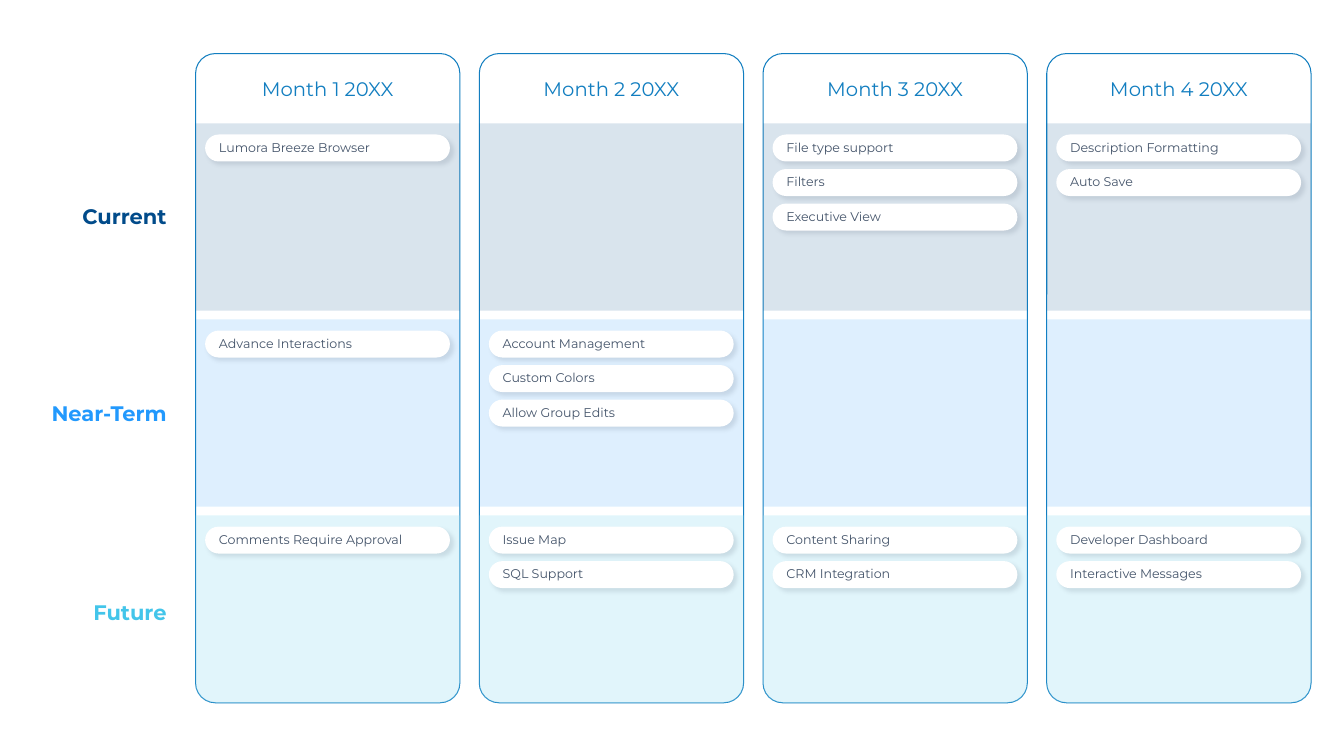
"""Build a four-month product roadmap slide with three planning horizons."""
from dataclasses import dataclass
from typing import Any

from lxml import etree
from pptx import Presentation
from pptx import util as u
from pptx.dml.color import RGBColor
from pptx.enum import shapes, text
from pptx.oxml import ns

NAVY = RGBColor(0x01, 0x4B, 0x8A)
BLUE = RGBColor(0x22, 0x99, 0xFD)
SKY = RGBColor(0x43, 0xC5, 0xEA)
PALE = RGBColor(0x9D, 0xE1, 0xF4)
OUTLINE = RGBColor(0x12, 0x7E, 0xC0)
SLATE = RGBColor(0x44, 0x54, 0x6A)
WHITE = RGBColor(0xFF, 0xFF, 0xFF)

FONT = "Montserrat"
LEFT, TOP, COLUMN_WIDTH, COLUMN_HEIGHT, COLUMN_STEP = 4.93, 1.35, 6.66, 16.36, 7.15
BAND_TOP, BAND_HEIGHT, BAND_STEP = 3.11, 4.72, 4.94
CARD_INDENT, CARD_DROP, CARD_WIDTH, CARD_HEIGHT, CARD_STEP = 0.24, 0.28, 6.17, 0.68, 0.87
HEADER_TOP, HEADER_HEIGHT = 1.81, 0.86
LABEL_RIGHT, LABEL_HEIGHT = 4.45, 0.89


@dataclass(frozen=True)
class Frame:
    """Place and size in centimetres."""
    left: float
    top: float
    width: float
    height: float

    def lengths(self) -> list[u.Length]:
        """Return the four values as slide lengths."""
        return [u.Cm(value) for value in (self.left, self.top, self.width, self.height)]


@dataclass(frozen=True)
class Horizon:
    """A row of the roadmap."""
    name: str
    label_top: float
    label_width: float
    label_color: RGBColor
    fill: RGBColor
    alpha: int
    shape: shapes.MSO_SHAPE
    corners: tuple[float, ...] = ()


@dataclass(frozen=True)
class Month:
    """A column of the roadmap, with the cards of each horizon."""
    name: str
    header_width: float
    cards: tuple[tuple[str, ...], ...]


HORIZONS = (
    Horizon("Current", 5.0, 2.77, NAVY, NAVY, 15, shapes.MSO_SHAPE.RECTANGLE),
    Horizon("Near-Term", 9.96, 3.63, BLUE, BLUE, 15, shapes.MSO_SHAPE.RECTANGLE),
    Horizon("Future", 14.99, 2.46, SKY, PALE, 30,
            shapes.MSO_SHAPE.ROUND_2_SAME_RECTANGLE, (0, 0.1)),
)
MONTHS = (
    Month("Month 1 20XX", 3.89, (
        ("Lumora Breeze Browser",),
        ("Advance Interactions",),
        ("Comments Require Approval",))),
    Month("Month 2 20XX", 3.99, (
        (),
        ("Account Management", "Custom Colors", "Allow Group Edits"),
        ("Issue Map", "SQL Support"))),
    Month("Month 3 20XX", 3.99, (
        ("File type support", "Filters", "Executive View"),
        (),
        ("Content Sharing", "CRM Integration"))),
    Month("Month 4 20XX", 4.04, (
        ("Description Formatting", "Auto Save"),
        (),
        ("Developer Dashboard", "Interactive Messages"))),
)


def apply(target: Any, formats: dict[str, Any]) -> None:
    """Set each named format value on the target."""
    for name, value in formats.items():
        setattr(target, name, value)


def write(box: Any, words: str, size: float, color: RGBColor, align: text.PP_ALIGN,
          frame_formats: dict[str, Any], bold: bool = False) -> None:
    """Put one formatted paragraph in a box."""
    apply(box.text_frame, frame_formats)
    para = box.text_frame.paragraphs[0]
    para.alignment = align
    span = para.add_run()
    span.text = words
    apply(span.font, {"name": FONT, "size": u.Pt(size), "bold": bold})
    span.font.color.rgb = color


def add_text(page: Any, frame: Frame, *content: Any, bold: bool = False,
             anchor: text.MSO_ANCHOR = text.MSO_ANCHOR.TOP) -> None:
    """Add an unwrapped text box that grows with its words."""
    box = page.shapes.add_textbox(*frame.lengths())
    formats = {"word_wrap": False, "vertical_anchor": anchor,
               "auto_size": text.MSO_AUTO_SIZE.SHAPE_TO_FIT_TEXT}
    write(box, *content, formats, bold)


def add_box(page: Any, kind: shapes.MSO_SHAPE, frame: Frame, corners: tuple[float, ...] = (),
            fill: RGBColor | None = None, line: RGBColor | None = None) -> Any:
    """Add a flat preset shape with optional fill and outline."""
    box = page.shapes.add_shape(kind, *frame.lengths())
    box.shadow.inherit = False
    for index, corner in enumerate(corners):
        box.adjustments[index] = corner
    if fill is None:
        box.fill.background()
    else:
        box.fill.solid()
        box.fill.fore_color.rgb = fill
    if line is None:
        box.line.fill.background()
    else:
        box.line.color.rgb = line
        box.line.width = u.Pt(0.75)
    return box


def add_alpha(color: Any, percent: int) -> None:
    """Give a colour element an opacity."""
    etree.SubElement(color, ns.qn("a:alpha"), val=str(percent * 1000))


def add_card(page: Any, frame: Frame, words: str) -> None:
    """Add a white pill with a soft shadow."""
    card = add_box(page, shapes.MSO_SHAPE.ROUNDED_RECTANGLE, frame, (0.5,), WHITE)
    effects = card.element.spPr.find(ns.qn("a:effectLst"))
    shadow = etree.SubElement(effects, ns.qn("a:outerShdw"), blurRad=str(u.Pt(3)),
                              dist=str(u.Pt(3)), dir=str(45 * 60000),
                              algn="tl", rotWithShape="0")
    add_alpha(etree.SubElement(shadow, ns.qn("a:srgbClr"), val=str(SLATE)), 15)
    formats = {"word_wrap": True, "vertical_anchor": text.MSO_ANCHOR.MIDDLE,
               "margin_left": u.Cm(0.25), "margin_right": u.Cm(0.25),
               "margin_top": 0, "margin_bottom": u.Cm(0.05)}
    write(card, words, 9, SLATE, text.PP_ALIGN.LEFT, formats)


def add_month(page: Any, month: Month, left: float) -> None:
    """Draw one column with its header, bands and cards."""
    add_box(page, shapes.MSO_SHAPE.ROUNDED_RECTANGLE,
            Frame(left, TOP, COLUMN_WIDTH, COLUMN_HEIGHT), (0.075,), line=OUTLINE)
    header_left = left + (COLUMN_WIDTH - month.header_width) / 2
    add_text(page, Frame(header_left, HEADER_TOP, month.header_width, HEADER_HEIGHT),
             month.name, 14, OUTLINE, text.PP_ALIGN.CENTER, anchor=text.MSO_ANCHOR.MIDDLE)
    for row, (horizon, cards) in enumerate(zip(HORIZONS, month.cards)):
        top = BAND_TOP + row * BAND_STEP
        band = add_box(page, horizon.shape, Frame(left, top, COLUMN_WIDTH, BAND_HEIGHT),
                       horizon.corners, horizon.fill)
        add_alpha(band.element.spPr.find(ns.qn("a:solidFill"))[0], horizon.alpha)
        for index, words in enumerate(cards):
            add_card(page, Frame(left + CARD_INDENT, top + CARD_DROP + index * CARD_STEP,
                                 CARD_WIDTH, CARD_HEIGHT), words)


def main() -> None:
    """Assemble and save the deck."""
    deck = Presentation()
    apply(deck, {"slide_width": u.Cm(33.87), "slide_height": u.Cm(19.05)})
    page = deck.slides.add_slide(deck.slide_layouts[6])
    for column, month in enumerate(MONTHS):
        add_month(page, month, LEFT + column * COLUMN_STEP)
    for horizon in HORIZONS:
        add_text(page, Frame(LABEL_RIGHT - horizon.label_width, horizon.label_top,
                             horizon.label_width, LABEL_HEIGHT),
                 horizon.name, 15, horizon.label_color, text.PP_ALIGN.RIGHT, bold=True)
    deck.save("out.pptx")


if __name__ == "__main__":
    main()
